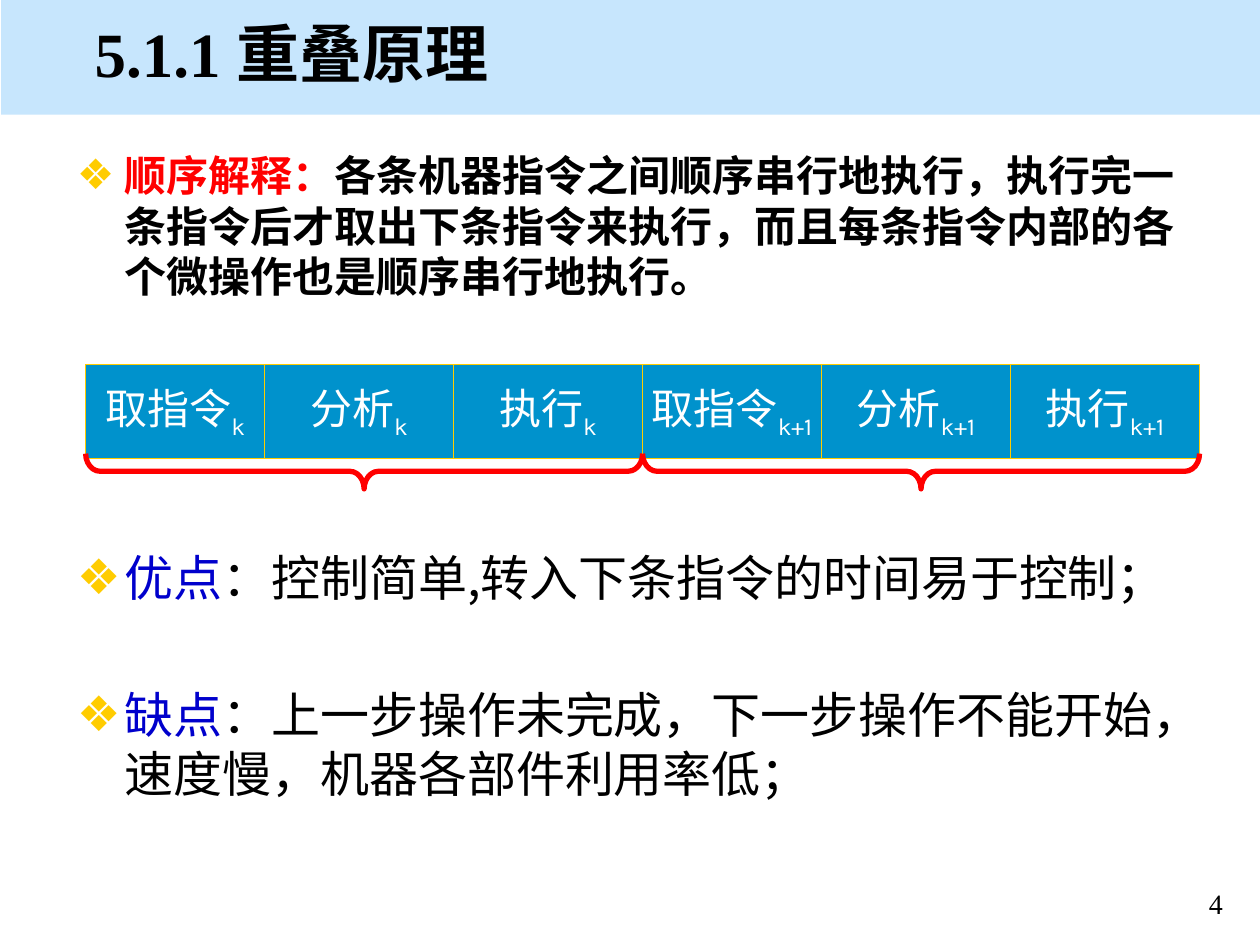
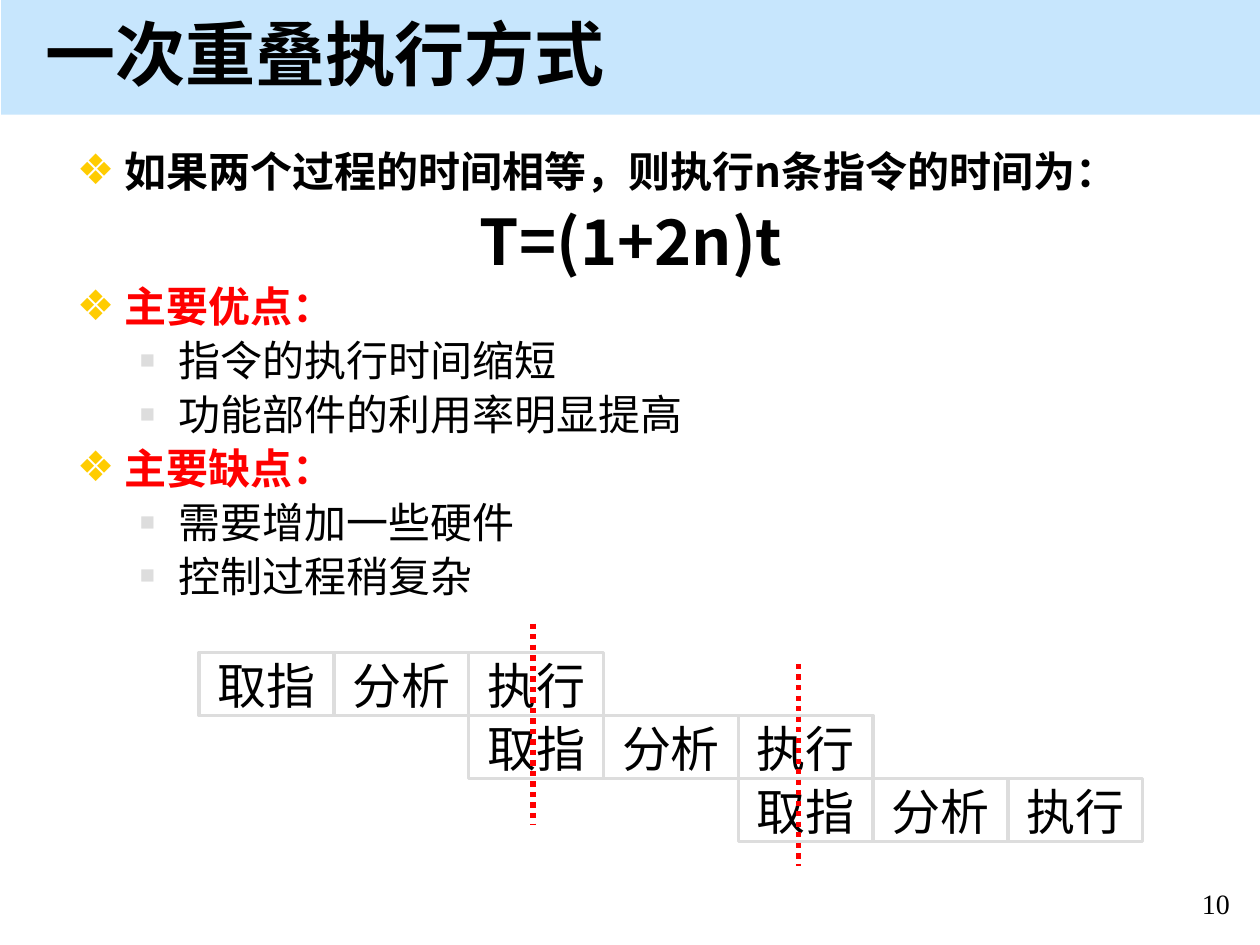
from lxml import etree
from pptx import Presentation
from pptx import util as u
from pptx.dml.color import RGBColor
from pptx.enum import dml, shapes, text
from pptx.oxml import ns

HUES = {
    "band": "C7E6FD", "ink": "000000", "red": "FF0000", "blue": "0000CC",
    "gold": "FFCC00", "gray": "DDDDDD", "step": "0092CC", "white": "FFFFFF",
}
SANS, SERIF = "Noto Sans CJK SC", "Times New Roman"
ALIGN = text.PP_ALIGN
# Bullet sign, colour, size in percent, left margin, hanging indent
MARKS = {
    "main": ("❖", "gold", 100, 0.38, -0.38),
    "sub": ("■", "gray", 60, 0.81, -0.31),
    None: (None, None, None, 0, 0),
}


def node(up, tag, **attrs):
    return etree.SubElement(up, ns.qn("a:" + tag), attrs)


def inch(*vals):
    return [u.Inches(v) for v in vals]


class Deck:
    """Holds the shared style and the slide being built."""

    def __init__(self):
        self.prs = Presentation()
        self.prs.slide_width, self.prs.slide_height = inch(10, 7.5)
        self.page = None

    def hue(self, name):
        return RGBColor.from_string(HUES[name])

    def start(self, num, title, left, width, size, face):
        """Add a slide with its band, title and page number."""
        self.page = self.prs.slides.add_slide(self.prs.slide_layouts[1])
        band = self.box((0.01, 0, 9.99, 0.91), fill="band")
        self.page.shapes._spTree.insert(2, band._element)
        head = self.page.shapes.title
        self.place(head, (left, 0.08, width, 0.67))
        self.frame(head, vertical_anchor=text.MSO_ANCHOR.MIDDLE)
        para = head.text_frame.paragraphs[0]
        para.alignment = ALIGN.LEFT
        self.run(para, title, size=size, bold=True, name=face)
        foot = self.page.shapes.add_textbox(*inch(9.3, 6.99, 0.7, 0.33))
        para = foot.text_frame.paragraphs[0]
        para.alignment = ALIGN.CENTER
        self.run(para, num, size=16, name=SERIF)

    def place(self, shape, spot):
        for key, val in zip(("left", "top", "width", "height"), inch(*spot)):
            setattr(shape, key, val)

    def frame(self, shape, **form):
        form = {"word_wrap": True, "auto_size": text.MSO_AUTO_SIZE.NONE, **form}
        for key, val in form.items():
            setattr(shape.text_frame, key, val)

    def run(self, para, words, hue="ink", size=24, **form):
        run = para.add_run()
        run.text = words
        form = {"size": u.Pt(size), "bold": False, "name": SANS, **form}
        for key, val in form.items():
            setattr(run.font, key, val)
        run.font.color.rgb = self.hue(hue)
        node(run._r.get_or_add_rPr(), "ea", typeface=SANS)
        return run

    def mark(self, para, kind):
        sign, hue, size, left, hang = MARKS[kind]
        props = para._p.get_or_add_pPr()
        props.set("marL", str(u.Inches(left)))
        props.set("indent", str(u.Inches(hang)))
        if not sign:
            node(props, "buNone")
            return
        node(node(props, "buClr"), "srgbClr", val=HUES[hue])
        node(props, "buSzPct", val=str(size * 1000))
        node(props, "buChar", char=sign)

    def body(self, height, items):
        """Fill the list; an item is (mark, space before, line pitch, runs)."""
        hold = self.page.placeholders[1]
        self.place(hold, (0.51, 1.14, 9, height))
        self.frame(hold)
        for i, (kind, gap, pitch, runs) in enumerate(items):
            frame = hold.text_frame
            para = frame.add_paragraph() if i else frame.paragraphs[0]
            self.mark(para, kind)
            form = {
                "alignment": ALIGN.LEFT if kind else ALIGN.CENTER,
                "level": 1 if kind == "sub" else 0,
                "line_spacing": u.Pt(pitch),
                "space_before": u.Pt(gap),
            }
            for key, val in form.items():
                setattr(para, key, val)
            for words, look in runs:
                self.run(para, words, **look)

    def box(self, spot, fill=None, line=None, weight=1,
            kind=shapes.MSO_SHAPE.RECTANGLE):
        shape = self.page.shapes.add_shape(kind, *inch(*spot))
        shape.shadow.inherit = False
        if fill:
            shape.fill.solid()
            shape.fill.fore_color.rgb = self.hue(fill)
        else:
            shape.fill.background()
        if line:
            shape.line.color.rgb = self.hue(line)
            shape.line.width = u.Pt(weight)
        else:
            shape.line.fill.background()
        return shape

    def label(self, shape, **form):
        """Centre text in a shape and return its paragraph."""
        form = {"word_wrap": False, "vertical_anchor": text.MSO_ANCHOR.MIDDLE,
                **form}
        self.frame(shape, **form)
        para = shape.text_frame.paragraphs[0]
        para.alignment = ALIGN.CENTER
        return para

    def brace(self, mid, y, span, depth):
        """Draw a brace that opens upward, centred on a point."""
        spot = (mid - depth / 2, y - span / 2, depth, span)
        shape = self.box(spot, line="red", weight=3,
                         kind=shapes.MSO_SHAPE.LEFT_BRACE)
        shape.rotation = 270
        shape.adjustments[0] = 0.41

    def cut(self, x, top, end):
        """Draw a dotted vertical line."""
        line = self.page.shapes.add_connector(
            shapes.MSO_CONNECTOR.STRAIGHT, *inch(x, top, x, end))
        line.line.color.rgb = self.hue("red")
        line.line.width = u.Pt(3)
        line.line.dash_style = dml.MSO_LINE.ROUND_DOT
        node(line._element.spPr, "effectLst")


def serial(deck):
    deck.start("4", "5.1.1 重叠原理", 0.65, 8.58, 36, SERIF)
    bold, red = {"bold": True}, {"bold": True, "hue": "red"}
    big, blue = {"size": 28}, {"size": 28, "hue": "blue"}
    deck.body(5.4, [
        ("main", 0, 28.8, [
            ("顺序解释：", red),
            ("各条机器指令之间顺序串行地执行，执行完一条指令后才取出下条指令来执行，"
             "而且每条指令内部的各个微操作也是顺序串行地执行。", bold)]),
        ("main", 141, 33.6, [
            ("优点", blue), ("：控制简单,转入下条指令的时间易于控制；", big)]),
        ("main", 44.7, 33.6, [
            ("缺点", blue),
            ("：上一步操作未完成，下一步操作不能开始，速度慢，机器各部件利用率低；",
             big)]),
    ])
    steps = [("取指令", 1.42), ("分析", 1.5), ("执行", 1.5)]
    span = sum(wide for _, wide in steps)
    left = 0.68
    for sub in ("k", "k+1"):
        mid = left + span / 2
        for name, wide in steps:
            shape = deck.box((left, 2.89, wide, 0.75), "step", "gold", 0.75)
            para = deck.label(shape)
            look = {"hue": "white", "name": "Karla"}
            deck.run(para, name, **look)
            low = deck.run(para, sub, **look)
            low._r.get_or_add_rPr().set("baseline", "-25000")
            left += wide
        deck.brace(mid, 3.74, span, 0.28)


def overlap(deck):
    deck.start("10", "一次重叠执行方式", 0.26, 9.74, 40, SANS)
    bold, red = {"bold": True}, {"bold": True, "hue": "red", "name": SERIF}
    items = [
        ("main", 0, 26, [("如果两个过程的时间相等，则执行n条指令的时间为：", bold)]),
        (None, 8.5, 39, [("T=(1+2n)t", {"bold": True, "size": 36})]),
    ]
    groups = [
        ("主要优点：", 4, ["指令的执行时间缩短", "功能部件的利用率明显提高"]),
        ("主要缺点：", 4.8, ["需要增加一些硬件", "控制过程稍复杂"]),
    ]
    for head, gap, points in groups:
        items.append(("main", gap, 26, [(head, red)]))
        items += [("sub", 4.8, 26, [(point, {})]) for point in points]
    deck.body(3.76, items)

    wide, high = 1.07, 0.5
    for row in range(3):
        for col, name in enumerate(("取指", "分析", "执行")):
            spot = (1.58 + wide * (2 * row + col), 5.18 + high * row, wide, high)
            shape = deck.box(spot, line="gray", weight=2)
            para = deck.label(shape, margin_top=0, margin_bottom=0)
            para.line_spacing = u.Pt(35)
            deck.run(para, name, size=28, name="TeX Gyre Pagella")
    for x, top in ((4.23, 4.95), (6.34, 5.27)):
        deck.cut(x, top, top + 1.6)


def main():
    deck = Deck()
    serial(deck)
    overlap(deck)
    deck.prs.save("out.pptx")


if __name__ == "__main__":
    main()
